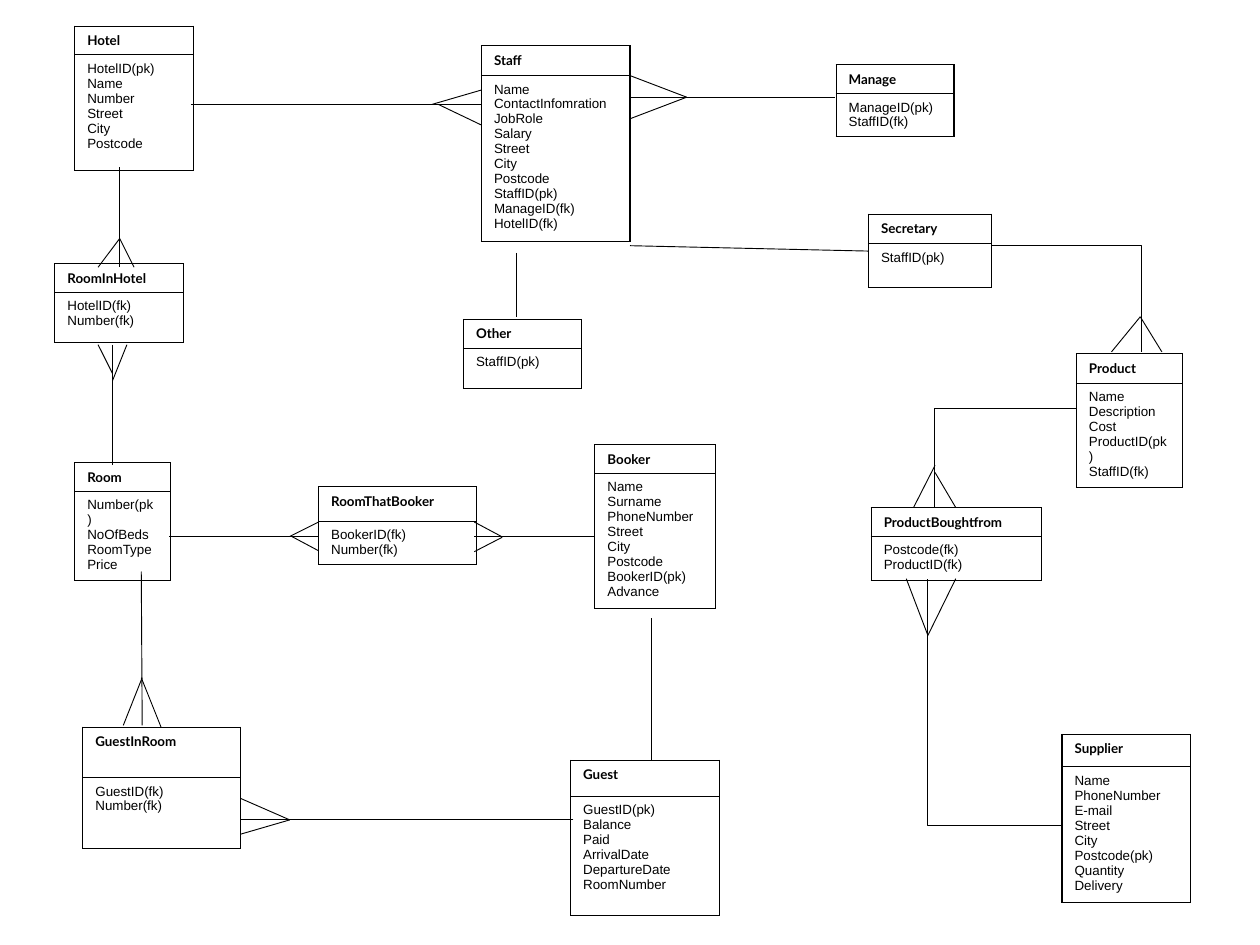
import pptx
import pptx.dml.color
import pptx.enum.shapes
import pptx.oxml
import pptx.oxml.ns
import pptx.util
from lxml import etree

Inches = pptx.util.Inches
Pt = pptx.util.Pt
BLACK = pptx.dml.color.RGBColor(0, 0, 0)
WHITE = pptx.dml.color.RGBColor(255, 255, 255)
TEXT_SIZE = 10.7
MIN_HEADER = 0.32

# name, (left, top, width, height), header height, attributes
# "\n" starts a paragraph, "\v" breaks a line inside one
ENTITIES = [
    ("Hotel", (0.83, 0.29, 1.32, 1.6), 0.3,
     "HotelID(pk)\nName\nNumber\nStreet\nCity\nPostcode"),
    ("Guest", (6.34, 8.45, 1.65, 1.72), 0.4,
     "GuestID(pk)\nBalance\nPaid\nArrivalDate\nDepartureDate\nRoomNumber"),
    ("Room", (0.83, 5.14, 1.06, 1.31), 0.31,
     "Number(pk)\nNoOfBeds\nRoomType\nPrice"),
    ("Booker", (6.61, 4.94, 1.34, 1.82), 0.26,
     "Name\vSurname\vPhoneNumber\vStreet\nCity\nPostcode\nBookerID(pk)\nAdvance"),
    ("RoomThatBooker", (3.54, 5.41, 1.75, 0.86), 0.38, "BookerID(fk)\nNumber(fk)"),
    ("GuestInRoom", (0.92, 8.08, 1.75, 1.35), 0.56, "GuestID(fk)\nNumber(fk)"),
    ("Supplier", (11.8, 8.16, 1.43, 1.87), 0.36,
     "Name\vPhoneNumber\nE-mail\vStreet\vCity\nPostcode(pk)\nQuantity\nDelivery"),
    ("Product", (11.96, 3.93, 1.18, 1.49), 0.33,
     "Name\vDescription\vCost\nProductID(pk)\nStaffID(fk)"),
    ("ProductBoughtfrom", (9.68, 5.64, 1.89, 0.81), 0.28,
     "Postcode(fk)\nProductID(fk)"),
    ("Staff", (5.35, 0.51, 1.65, 2.17), 0.33,
     "Name\nContactInfomration\nJobRole\vSalary\nStreet\nCity\nPostcode\n"
     "StaffID(pk)\nManageID(fk)\nHotelID(fk)"),
    ("Manage", (9.29, 0.72, 1.31, 0.8), 0.32, "ManageID(pk)\nStaffID(fk)"),
    ("Secretary", (9.65, 2.38, 1.37, 0.82), 0.33, "StaffID(pk)"),
    ("RoomInHotel", (0.61, 2.93, 1.43, 0.88), 0.26, "HotelID(fk)\nNumber(fk)"),
    ("Other", (5.15, 3.55, 1.31, 0.77), 0.32, "StaffID(pk)"),
]

# x1, y1, x2, y2
STRAIGHT_LINKS = [
    (1.33, 1.86, 1.33, 2.97),   # Hotel - RoomInHotel
    (1.25, 3.83, 1.25, 5.17),   # RoomInHotel - Room
    (3.54, 5.96, 1.88, 5.96),   # RoomThatBooker - Room
    (6.61, 5.96, 5.27, 5.96),   # Booker - RoomThatBooker
    (7.24, 6.87, 7.24, 8.45),   # Booker - Guest
    (6.37, 9.11, 2.67, 9.11),   # Guest - GuestInRoom
    (1.57, 6.35, 1.58, 8.06),   # Room - GuestInRoom
    (2.12, 1.16, 5.35, 1.16),   # Hotel - Staff
    (7, 1.08, 9.28, 1.08),      # Staff - Manage
    (7, 2.73, 9.65, 2.79),      # Staff - Secretary
    (5.74, 2.81, 5.74, 3.52),   # Staff - Other
]
ELBOW_LINKS = [
    (11.02, 2.73, 12.68, 3.91),  # Secretary - Product
    (11.96, 4.54, 10.38, 5.64),  # Product - ProductBoughtfrom
    (11.8, 9.17, 10.31, 6.43),   # Supplier - ProductBoughtfrom
]
# Two prongs of each crow's foot, each from its tip to the entity
CROWS_FEET = [
    ((1.33, 2.65, 1.09, 2.97), (1.33, 2.65, 1.49, 2.97)),
    ((1.25, 4.23, 1.41, 3.83), (1.25, 4.15, 1.09, 3.83)),
    ((3.24, 5.96, 3.54, 6.12), (3.22, 5.96, 3.54, 5.8)),
    ((5.58, 5.97, 5.27, 6.13), (5.57, 5.96, 5.27, 5.8)),
    ((3.22, 9.11, 2.67, 9.27), (3.22, 9.11, 2.67, 8.87)),
    ((1.58, 7.53, 1.37, 8.06), (1.57, 7.53, 1.79, 8.08)),
    ((4.8, 1.16, 5.35, 1), (4.87, 1.16, 5.35, 1.39)),
    ((7.63, 1.08, 7, 0.84), (7.63, 1.08, 7, 1.32)),
    ((12.67, 3.52, 12.35, 3.91), (12.67, 3.52, 12.91, 3.91)),
    ((10.39, 5.17, 10.15, 5.64), (10.39, 5.25, 10.62, 5.64)),
    ((10.31, 7.06, 10.62, 6.43), (10.31, 7.06, 10.07, 6.43)),
]


def add_borders(cell):
    """Draw a 1 pt black border on every side of a cell."""
    properties = cell._tc.get_or_add_tcPr()
    for side in ("lnL", "lnR", "lnT", "lnB"):
        properties.append(pptx.oxml.parse_xml(
            f'<a:{side} {pptx.oxml.ns.nsdecls("a")} w="{Pt(1)}"><a:solidFill>'
            f'<a:srgbClr val="{BLACK}"/></a:solidFill></a:{side}>'))


def fill_cell(cell, text, font_name, bold):
    """Write and format one table cell."""
    add_borders(cell)
    cell.fill.solid()
    cell.fill.fore_color.rgb = WHITE
    cell.margin_left = cell.margin_right = Inches(0.14)
    cell.margin_top = cell.margin_bottom = Inches(0.07)
    cell.text_frame.text = text
    for para in cell.text_frame.paragraphs:
        for span in para.runs:
            span.font.name = font_name
            span.font.size = Pt(TEXT_SIZE)
            span.font.bold = bold
            span.font.color.rgb = BLACK


def add_entity(page, name, place, header, attributes):
    """Add an entity as a table with a header row and an attribute row."""
    table = page.shapes.add_table(2, 1, *map(Inches, place)).table
    table.first_row = table.horz_banding = False
    header = max(header, MIN_HEADER)
    table.rows[0].height = Inches(header)
    table.rows[1].height = Inches(place[3] - header)
    fill_cell(table.cell(0, 0), name, "Lato", True)
    fill_cell(table.cell(1, 0), attributes, "Arial", False)


def add_line(page, ends, kind=pptx.enum.shapes.MSO_CONNECTOR.STRAIGHT):
    """Add a thin black connector without shadow and return it."""
    line = page.shapes.add_connector(kind, *map(Inches, ends))
    line.line.color.rgb = BLACK
    line.line.width = Pt(0.75)
    etree.SubElement(line._element.spPr, pptx.oxml.ns.qn("a:effectLst"))
    return line


def add_elbow(page, ends):
    """Add a connector that runs sideways first, then turns once at the end."""
    line = add_line(page, ends, pptx.enum.shapes.MSO_CONNECTOR.ELBOW)
    geometry = line._element.spPr.find(pptx.oxml.ns.qn("a:prstGeom"))
    guides = geometry.find(pptx.oxml.ns.qn("a:avLst"))
    if guides is None:
        guides = etree.SubElement(geometry, pptx.oxml.ns.qn("a:avLst"))
    etree.SubElement(guides, pptx.oxml.ns.qn("a:gd"), name="adj1", fmla="val 100000")


deck = pptx.Presentation()
deck.slide_width, deck.slide_height = Inches(14), Inches(10.5)
page = deck.slides.add_slide(deck.slide_layouts[6])
for entity in ENTITIES:
    add_entity(page, *entity)
for link in STRAIGHT_LINKS:
    add_line(page, link)
for link in ELBOW_LINKS:
    add_elbow(page, link)
for foot in CROWS_FEET:
    for prong in foot:
        add_line(page, prong)
deck.save("out.pptx")
